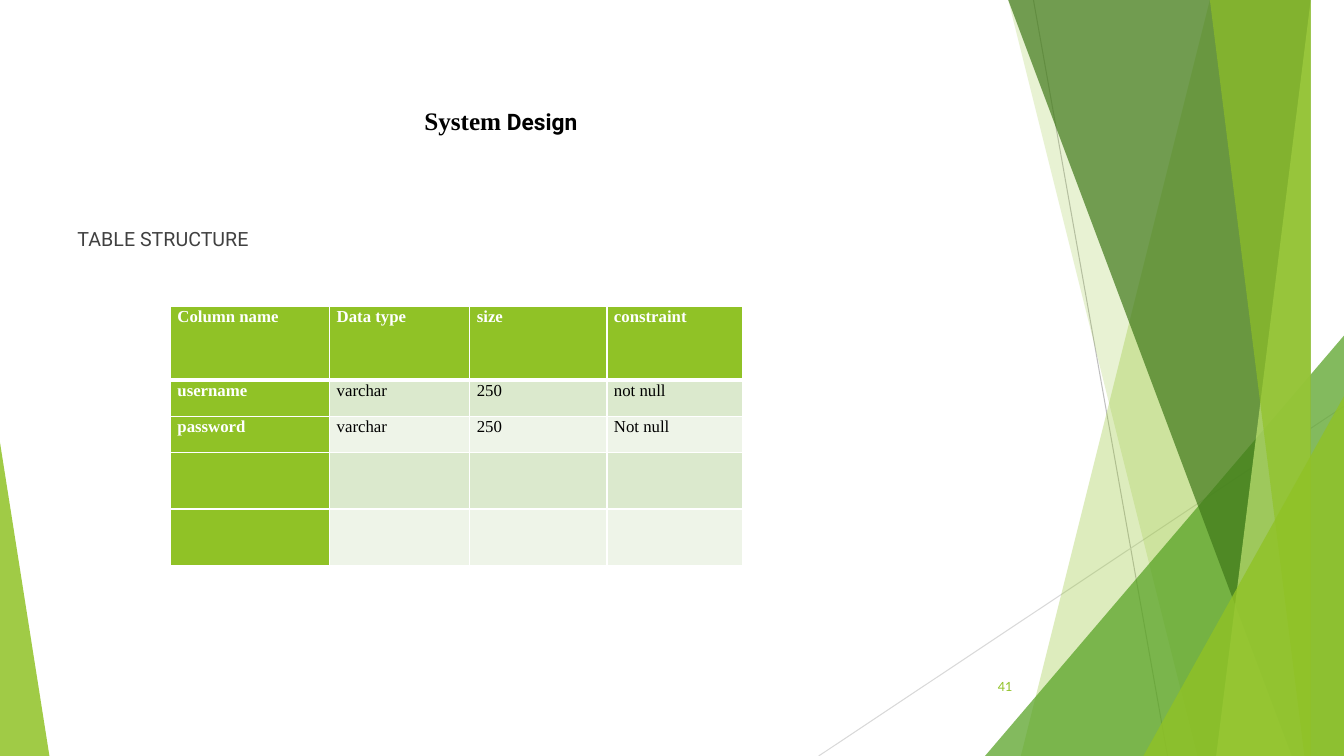
"""Build the System Design slide with its table structure and green facets."""
from lxml import etree
from pptx import Presentation
from pptx import util as u
from pptx.dml.color import RGBColor
from pptx.enum import shapes, text
from pptx.oxml.ns import qn

COLOURS = {
    "lime": "90C226", "green": "54A021", "forest": "3F7819", "pale": "C0E474",
    "grey": "BFBFBF", "silver": "D9D9D9", "white": "FFFFFF", "black": "000000",
    "body": "404040", "band_dark": "DBE9CD", "band_light": "EEF4E8",
}
WIDTH, HEIGHT = 13.33, 7.5


def paint(shape, colour, opacity):
    shape.shadow.inherit = False
    shape.line.fill.background()
    shape.fill.solid()
    shape.fill.fore_color.rgb = RGBColor.from_string(COLOURS[colour])
    tint = shape.fill._xPr.find(qn("a:solidFill"))[0]
    etree.SubElement(tint, qn("a:alpha"), val=str(opacity * 1000))


def add_span(para, words, font, size, colour, bold=False):
    span = para.add_run()
    span.text = words
    span.font.name = font
    span.font.size = u.Pt(size)
    span.font.bold = bold
    span.font.color.rgb = RGBColor.from_string(COLOURS[colour])


deck = Presentation()
deck.slide_width, deck.slide_height = u.Inches(WIDTH), u.Inches(HEIGHT)
page = deck.slides.add_slide(deck.slide_layouts[6])

for x1, y1, x2, y2, colour in [
    (10.25, 0, 11.58, HEIGHT, "grey"),
    (WIDTH, 4.03, 8.12, HEIGHT, "silver"),
]:
    ray = page.shapes.add_connector(
        shapes.MSO_CONNECTOR.STRAIGHT, *[u.Inches(v) for v in (x1, y1, x2, y2)])
    ray.line.width = u.Pt(0.75)
    ray.line.color.rgb = RGBColor.from_string(COLOURS[colour])
    etree.SubElement(ray._element.spPr, qn("a:effectLst"))

decorations = [
    ("facet", (12.28, 10.04), "lime", 30),
    ("facet", (10.5, 11.83), "lime", 20),
    ("triangle", (9.77, 3.33, 3.56, 1), "green", 72),
    ("facet", (10.21, 12.91), "forest", 70),
    ("facet", (13.03, 11.92), "pale", 70),
    ("facet", (11.96, 13.18), "lime", 65),
    ("triangle", (11.34, 3.93, 1.99, 1), "lime", 80),
    ("triangle", (0, 4.39, 0.49, 0), "lime", 85),
]
for kind, geometry, colour, opacity in decorations:
    if kind == "facet":
        top_x, bottom_x = geometry
        outline = page.shapes.build_freeform(top_x, 0, scale=u.Inches(1))
        outline.add_line_segments(
            [(WIDTH, 0), (WIDTH, HEIGHT), (bottom_x, HEIGHT)], close=True)
        decoration = outline.convert_to_shape()
    else:
        left, top, width, apex = geometry
        decoration = page.shapes.add_shape(
            shapes.MSO_SHAPE.ISOSCELES_TRIANGLE, u.Inches(left), u.Inches(top),
            u.Inches(width), u.Inches(HEIGHT - top))
        decoration.adjustments[0] = apex
    paint(decoration, colour, opacity)

left_align, right_align = text.PP_ALIGN.LEFT, text.PP_ALIGN.RIGHT
captions = [
    ((4.11, 0.89, 3, 0.6), left_align,
     [("System", "Times New Roman", 18, "black", True),
      (" Design", "Roboto", 16.2, "black", True)]),
    ((0.67, 2.12, 4, 0.5), left_align,
     [("TABLE STRUCTURE", "Roboto", 14, "body")]),
    ((9.39, 6.61, 0.75, 0.4), right_align, [("41", "Lato", 9, "lime")]),
]
for place, align, spans in captions:
    box = page.shapes.add_textbox(*[u.Inches(v) for v in place])
    box.text_frame.word_wrap = True
    box.text_frame.vertical_anchor = text.MSO_ANCHOR.MIDDLE
    para = box.text_frame.paragraphs[0]
    para.alignment = align
    for span in spans:
        add_span(para, *span)

rows = [
    ("Column name", "Data type", "size", "constraint"),
    ("username", "varchar", "250", "not null"),
    ("password", "varchar", "250", "Not null"),
    ("",) * 4,
    ("",) * 4,
]
column_widths = [1.58, 1.39, 1.36, 1.35]
row_heights = [0.73, 0.36, 0.36, 0.56, 0.56]
table = page.shapes.add_table(
    len(rows), len(column_widths), u.Inches(1.69), u.Inches(3.04),
    u.Inches(sum(column_widths)), u.Inches(sum(row_heights))).table
for column, width in zip(table.columns, column_widths):
    column.width = u.Inches(width)
for row, height in zip(table.rows, row_heights):
    row.height = u.Inches(height)

for r, words in enumerate(rows):
    for c, word in enumerate(words):
        cell = table.cell(r, c)
        heading = r == 0 or c == 0
        band = "lime" if heading else "band_dark" if r % 2 else "band_light"
        cell.fill.solid()
        cell.fill.fore_color.rgb = RGBColor.from_string(COLOURS[band])
        cell.margin_left = cell.margin_right = u.Inches(0.07)
        cell.margin_top = cell.margin_bottom = 0
        para = cell.text_frame.paragraphs[0]
        para.line_spacing = 1.07
        para.space_after = u.Pt(8)
        if word:
            add_span(para, word, "Times New Roman", 12,
                     "white" if heading else "black", heading)
        props = cell._tc.get_or_add_tcPr()
        for i, side in enumerate(["lnL", "lnR", "lnT", "lnB"]):
            thick = (r, side) in [(0, "lnB"), (1, "lnT")]
            edge = etree.Element(qn(f"a:{side}"), w=str(u.Pt(3 if thick else 1)))
            ink = etree.SubElement(edge, qn("a:solidFill"))
            etree.SubElement(ink, qn("a:srgbClr"), val=COLOURS["white"])
            props.insert(i, edge)

deck.save("out.pptx")
